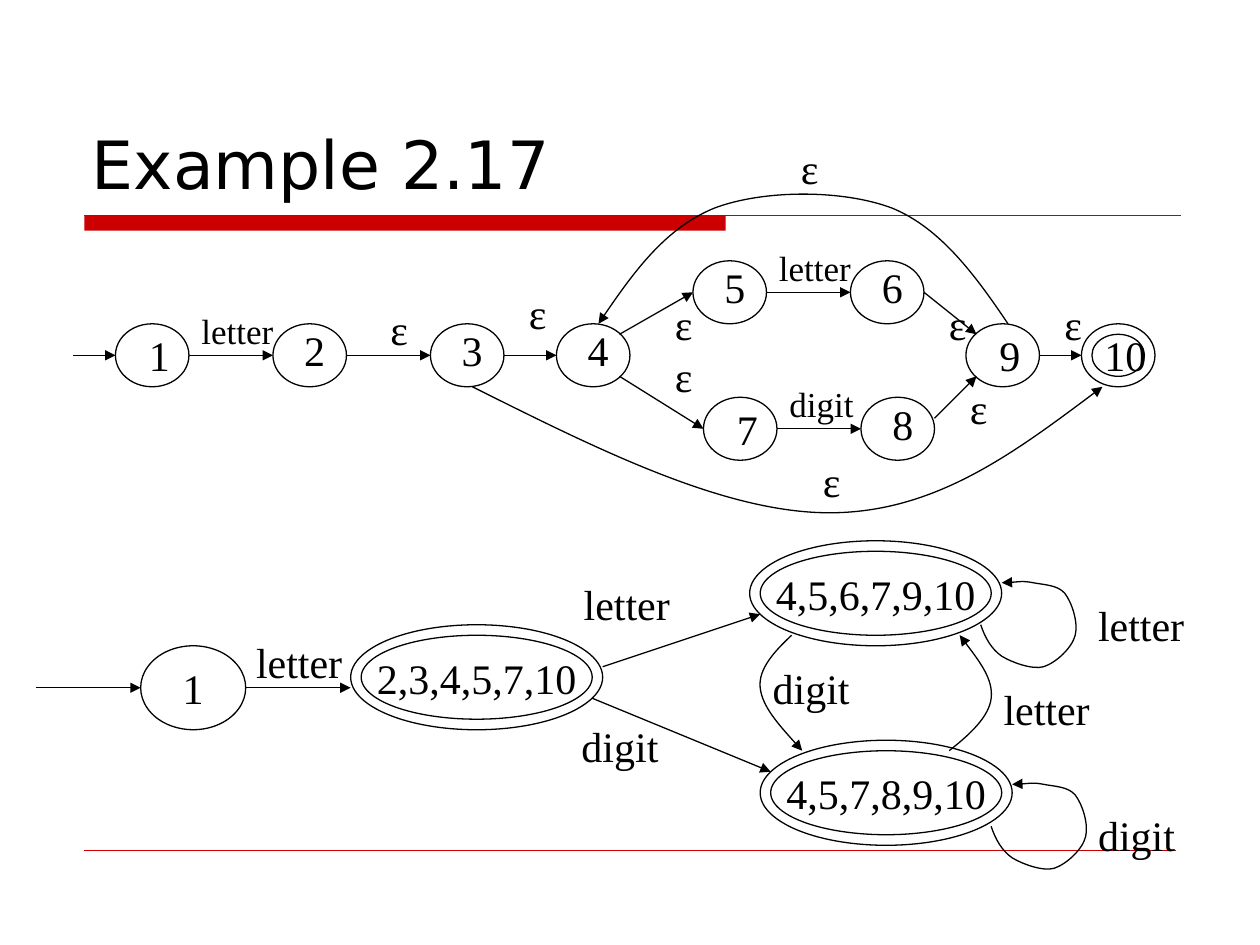
"""Build the slide with an epsilon NFA and the DFA derived from it."""
from dataclasses import dataclass
from typing import Any, NamedTuple

from lxml.etree import SubElement
from pptx import Presentation
from pptx.dml.color import RGBColor
from pptx.enum.shapes import MSO_CONNECTOR, MSO_SHAPE
from pptx.enum.text import MSO_ANCHOR, MSO_AUTO_SIZE, PP_ALIGN
from pptx.oxml.ns import qn
from pptx.util import Inches, Pt


@dataclass(frozen=True)
class Theme:
    ink: RGBColor = RGBColor(0, 0, 0)
    accent: RGBColor = RGBColor(0xCC, 0, 0)
    heading_font: str = "DejaVu Sans"
    diagram_font: str = "Times New Roman"
    heading_size: float = 38
    label_size: float = 24
    small_size: float = 20
    stroke: float = 0.74
    rule: float = 1
    hairline: float = 0.26


class Point(NamedTuple):
    col: float
    row: float


class State(NamedTuple):
    name: str
    col: float
    row: float
    cols: float = 7
    rows: float = 6
    final: bool = False
    nudge: Point | None = Point(1.8, -0.5)


class Edge(NamedTuple):
    start: Point
    end: Point


class Label(NamedTuple):
    text: str
    col: float
    row: float
    size: float = 24


class Automaton(NamedTuple):
    origin: Point
    states: list[State]
    edges: list[Edge]
    curves: list[list[Point]]
    labels: list[Label]


THEME = Theme()
CELL = 1 / 12
WIDTHS = {("letter", 20): 0.77, ("digit", 20): 0.71, ("letter", 24): 0.89,
          ("digit", 24): 0.81, ("ε", 24): 0.34, ("10", 24): 0.53}
DIGIT_WIDTH = 0.36
LABEL_FRAME = {"word_wrap": False, "auto_size": MSO_AUTO_SIZE.SHAPE_TO_FIT_TEXT}
STATE_FRAME = {"word_wrap": False, "vertical_anchor": MSO_ANCHOR.MIDDLE}
TITLE_FRAME = {"word_wrap": True, "vertical_anchor": MSO_ANCHOR.BOTTOM}


def points(*pairs: tuple[float, float]) -> list[Point]:
    return [Point(*pair) for pair in pairs]


def edge(col: float, row: float, end_col: float, end_row: float) -> Edge:
    return Edge(Point(col, row), Point(end_col, end_row))


LOW = Point(2, 0)
LOOP = points((93, 60), (93.4, 61.2), (94, 62.3), (95, 63), (96, 63.6), (97.9, 64.3),
              (99, 64), (100.2, 63.6), (101.7, 62.2), (102, 61), (102.3, 59.8),
              (101.7, 57.9), (101, 57), (100.3, 56.2), (99, 56.2), (98, 56),
              (97, 55.8), (96, 56), (95, 56))
NFA = Automaton(
    Point(0, -0.16),
    [State("1", 11, 31, nudge=LOW), State("2", 26, 31), State("3", 41, 31),
     State("4", 53, 31), State("5", 66, 25), State("6", 81, 25),
     State("7", 67, 38, nudge=LOW), State("8", 82, 38), State("9", 92, 31, nudge=LOW),
     State("10", 103, 31, final=True, nudge=Point(1, 0))],
    [edge(7, 34, 11, 34), edge(18, 34, 26, 34), edge(33, 34, 41, 34),
     edge(48, 34, 53, 34), edge(59, 32, 66, 28), edge(59, 36, 67, 41),
     edge(73, 28, 81, 28), edge(74, 41, 82, 41), edge(88, 28, 93, 32),
     edge(89, 40, 93, 36), edge(99, 34, 103, 34)],
    [points((45, 37), (57, 43), (69, 49), (79, 49), (89, 49), (97, 43), (105, 37)),
     points((96, 31), (92.9, 26.4), (89.6, 21.9), (85, 20), (80.3, 18.2), (72.7, 18.2),
            (68, 20), (63.4, 21.9), (60.1, 26.4), (57, 31))],
    [Label("letter", 18, 29, THEME.small_size), Label("letter", 73, 23, THEME.small_size),
     Label("digit", 74, 36, THEME.small_size)]
    + [Label("ε", *spot) for spot in points(
        (36, 28.5), (49.2, 27), (63.1, 28), (63.1, 33), (75.1, 13.1),
        (77.2, 43), (89.2, 28), (91.2, 36), (100.2, 28))])
DFA = Automaton(
    Point(0.4, -0.5),
    [State("1", 13, 62, 10, 8, nudge=None)]
    + [State(name, col, row, 24, 10, True, None) for name, col, row in (
        ("2,3,4,5,7,10", 33, 60), ("4,5,6,7,9,10", 71, 52), ("4,5,7,8,9,10", 72, 71))],
    [edge(3, 66, 13, 66), edge(23, 66, 33, 66), edge(57, 64, 72, 59), edge(56, 67, 73, 74)],
    [points((75, 61), (73.4, 62.5), (71.8, 64.2), (72, 66), (72.2, 67.8), (74.1, 69.9), (76, 72)),
     points((90, 72), (91.9, 70.5), (93.8, 68.8), (94, 67), (94.2, 65.2), (92.6, 63.1), (91, 61)),
     LOOP, [Point(spot.col + 1, spot.row + 19.2) for spot in LOOP]],
    [Label("letter", 22.8, 60.5), Label("letter", 54, 55), Label("letter", 103, 57),
     Label("letter", 94, 65), Label("digit", 53.8, 68.5), Label("digit", 72, 63),
     Label("digit", 103, 77)])


def apply(target: Any, formats: dict[str, Any]) -> None:
    for key, value in formats.items():
        setattr(target, key, value)


def write(frame: Any, text: str, face: str, size: float, formats: dict[str, Any]) -> None:
    apply(frame, formats)
    run = frame.paragraphs[0].add_run()
    run.text = text
    apply(run.font, {"name": face, "size": Pt(size)})
    run.font.color.rgb = THEME.ink


def ink(line: Any, color: RGBColor = THEME.ink, width: float = THEME.stroke) -> None:
    line.width = Pt(width)
    line.color.rgb = color


def add_arrowhead(shape: Any) -> None:
    SubElement(shape.line._get_or_add_ln(), qn("a:tailEnd"), type="triangle")


def draw_line(shapes: Any, ends: tuple[float, ...], color: RGBColor = THEME.ink,
              width: float = THEME.stroke) -> Any:
    line = shapes.add_connector(MSO_CONNECTOR.STRAIGHT, *map(Inches, ends))
    ink(line.line, color, width)
    SubElement(line._element.spPr, qn("a:effectLst"))
    return line


def draw_text(shapes: Any, text: str, left: float, top: float, size: float) -> None:
    width = WIDTHS.get((text, size), DIGIT_WIDTH)
    height = 0.1 + size / 60
    label = shapes.add_textbox(*map(Inches, (left, top, width, height)))
    write(label.text_frame, text, THEME.diagram_font, size, LABEL_FRAME)


def draw_ellipse(shapes: Any, left: float, top: float, width: float, height: float) -> Any:
    ellipse = shapes.add_shape(MSO_SHAPE.OVAL, *map(Inches, (left, top, width, height)))
    ellipse.shadow.inherit = False
    ellipse.fill.background()
    ink(ellipse.line)
    return ellipse


def draw_curve(shapes: Any, spots: list[tuple[float, float]]) -> None:
    start, *rest = [(Inches(x), Inches(y)) for x, y in spots]
    builder = shapes.build_freeform(*start)
    builder.add_line_segments(rest, close=False)
    curve = builder.convert_to_shape()
    curve.shadow.inherit = False
    curve.fill.background()
    ink(curve.line)
    add_arrowhead(curve)
    outline = next(curve._element.iter(qn("a:path")))
    legs = outline.findall(qn("a:lnTo"))
    for first in range(0, len(legs), 3):
        bend = SubElement(outline, qn("a:cubicBezTo"))
        for leg in legs[first:first + 3]:
            bend.append(leg[0])
            outline.remove(leg)


def draw_automaton(shapes: Any, automaton: Automaton) -> None:
    def place(col: float, row: float) -> tuple[float, float]:
        return (automaton.origin.col + col) * CELL, (automaton.origin.row + row) * CELL

    for state in automaton.states:
        corner = place(state.col, state.row)
        ellipse = draw_ellipse(shapes, *corner, state.cols * CELL, state.rows * CELL)
        if state.final:
            draw_ellipse(shapes, *place(state.col + 1, state.row + 1),
                         (state.cols - 2) * CELL, (state.rows - 2) * CELL)
        if state.nudge:
            spot = place(state.col + state.nudge.col, state.row + state.nudge.row)
            draw_text(shapes, state.name, *spot, THEME.label_size)
        else:
            write(ellipse.text_frame, state.name, THEME.diagram_font,
                  THEME.label_size, STATE_FRAME)
            ellipse.text_frame.paragraphs[0].alignment = PP_ALIGN.CENTER
    for start, end in automaton.edges:
        add_arrowhead(draw_line(shapes, place(*start) + place(*end)))
    for curve in automaton.curves:
        draw_curve(shapes, [place(*spot) for spot in curve])
    for label in automaton.labels:
        draw_text(shapes, label.text, *place(label.col, label.row), label.size)


def draw_header(shapes: Any) -> None:
    bar = shapes.add_shape(MSO_SHAPE.RECTANGLE, *map(Inches, (0.67, 1.71, 5.09, 0.12)))
    bar.shadow.inherit = False
    bar.fill.solid()
    bar.fill.fore_color.rgb = THEME.accent
    bar.line.fill.background()
    draw_line(shapes, (0.67, 1.71, 9.37, 1.71), THEME.accent, THEME.rule)
    draw_line(shapes, (0.67, 6.75, 9.33, 6.75), THEME.accent, THEME.hairline)
    title = shapes.add_textbox(*map(Inches, (0.63, 0.33, 8.75, 1.33)))
    write(title.text_frame, "Example 2.17", THEME.heading_font, THEME.heading_size, TITLE_FRAME)


deck = Presentation()
apply(deck, {"slide_width": Inches(10), "slide_height": Inches(7.5)})
canvas = deck.slides.add_slide(deck.slide_layouts[6]).shapes
draw_header(canvas)
for diagram in (NFA, DFA):
    draw_automaton(canvas, diagram)
deck.save("out.pptx")
